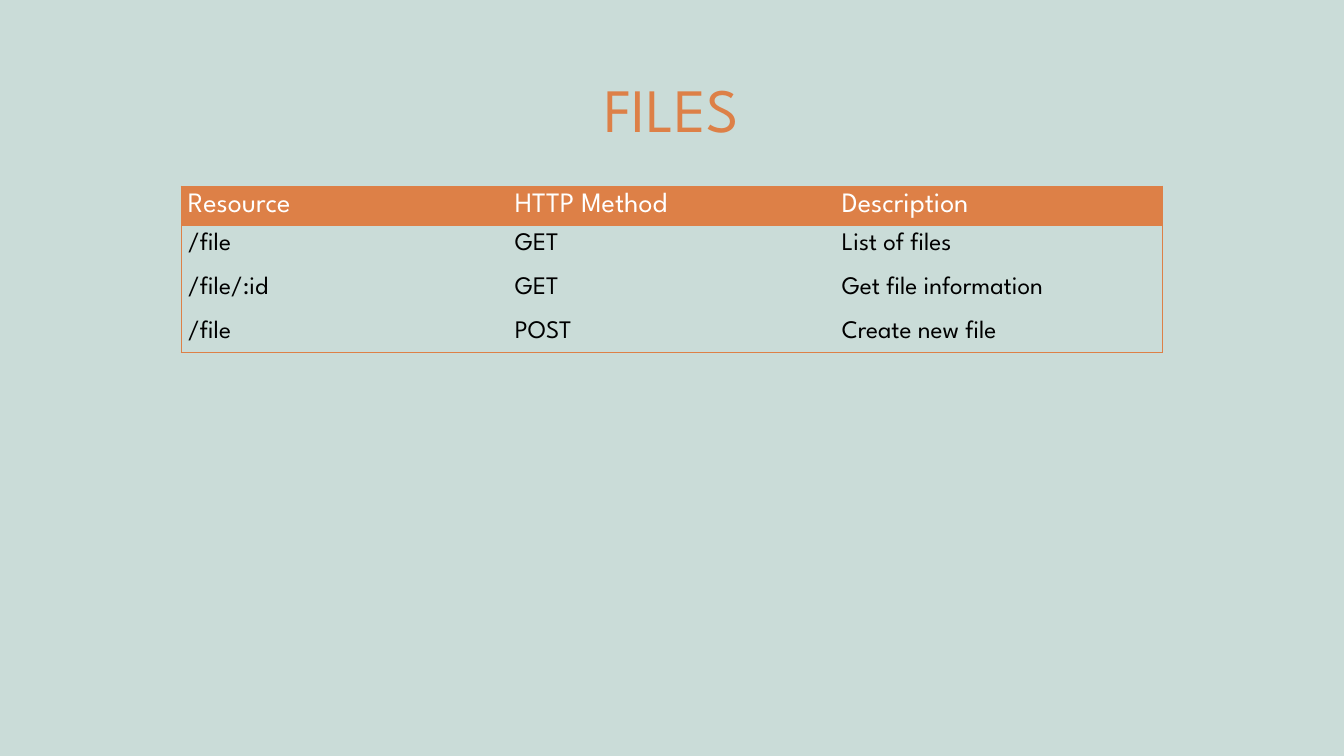
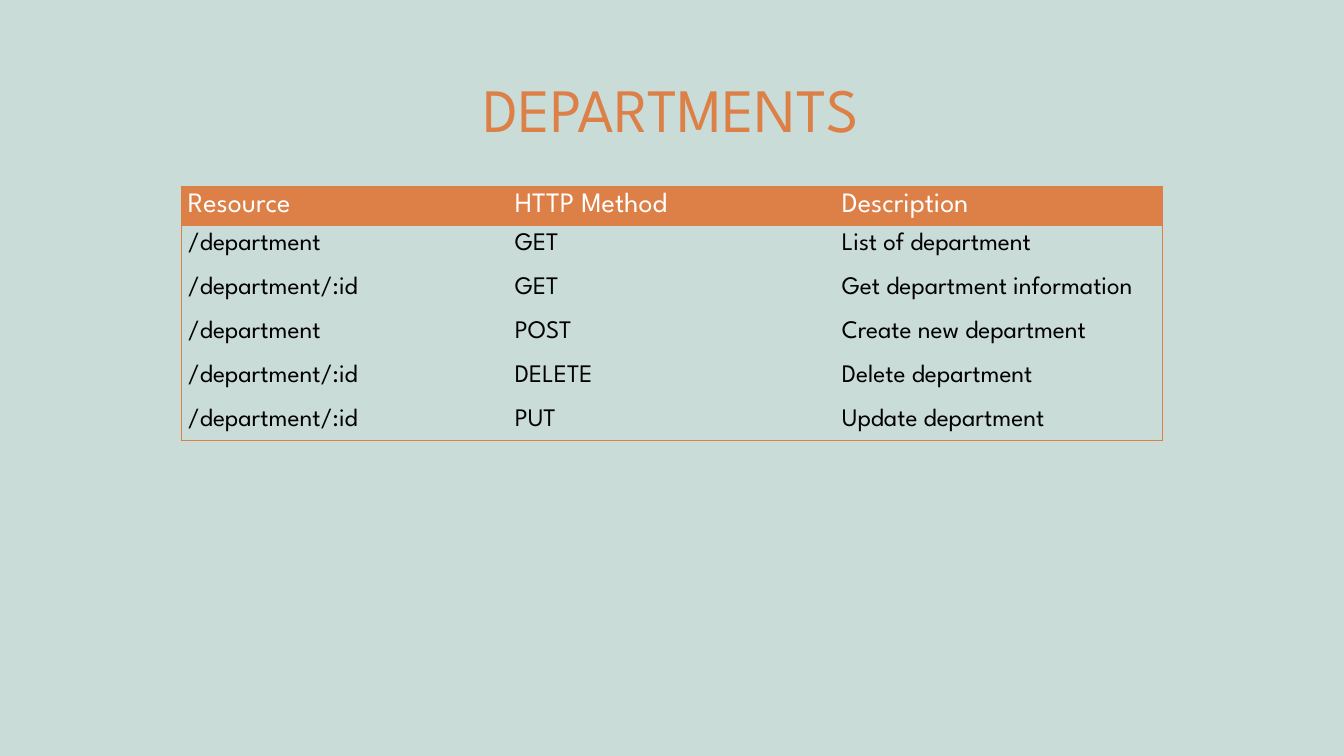
"""Build two REST endpoint slides, each with a title and a table."""
from dataclasses import dataclass

from lxml import etree
from pptx import Presentation, util as u
from pptx.dml.color import RGBColor
from pptx.enum import text
from pptx.oxml import ns


@dataclass(frozen=True)
class Theme:
    font: str = "League Spartan"
    background: str = "CADCD8"
    accent: str = "DD8047"
    header: str = "FFFFFF"
    body: str = "000000"
    title_size: int = 44
    header_size: int = 20
    body_size: int = 18
    border: float = 0.5


THEME = Theme()
SCALE = u.Inches(1) / 100.8
SLIDE_SIZE = (1344, 756)
TITLE_BOX = (92, 40, 1159, 146)
TABLE_LEFT, TABLE_TOP = 181, 186
COLUMN_WIDTH = 327
EDGE_ROW, INNER_ROW = 39, 44
INSET = 7
PLAIN_TABLE = "{2D5ABB26-0587-4C30-8999-92F81FD0307C}"
HEADINGS = ("Resource", "HTTP Method", "Description")

SLIDES = {
    "FILES": [
        ("/file", "GET", "List of files"),
        ("/file/:id", "GET", "Get file information"),
        ("/file", "POST", "Create new file"),
    ],
    "DEPARTMENTS": [
        ("/department", "GET", "List of department"),
        ("/department/:id", "GET", "Get department information"),
        ("/department", "POST", "Create new department"),
        ("/department/:id", "DELETE", "Delete department"),
        ("/department/:id", "PUT", "Update department"),
    ],
}


def px(n):
    return u.Emu(round(n * SCALE))


def add_run(p, words, size, color):
    r = p.add_run()
    r.text = words
    r.font.name = THEME.font
    r.font.size = u.Pt(size)
    r.font.color.rgb = RGBColor.from_string(color)


def set_up_layout(prs):
    prs.slide_width, prs.slide_height = map(px, SLIDE_SIZE)
    fill = prs.slide_master.background.fill
    fill.solid()
    fill.fore_color.rgb = RGBColor.from_string(THEME.background)
    layout = prs.slide_layouts.get_by_name("Title Only")
    sp = layout.placeholders[0]
    sp.left, sp.top, sp.width, sp.height = map(px, TITLE_BOX)
    return layout


def add_title(s, words):
    tf = s.shapes.title.text_frame
    tf.vertical_anchor = text.MSO_ANCHOR.MIDDLE
    p = tf.paragraphs[0]
    p.alignment = text.PP_ALIGN.CENTER
    p.line_spacing = 0.9
    add_run(p, words, THEME.title_size, THEME.accent)


def set_borders(cell, sides):
    tc_pr = cell._tc.get_or_add_tcPr()
    for i, side in enumerate(sides):
        ln = etree.Element(ns.qn(f"a:ln{side}"), w=str(u.Pt(THEME.border)))
        fill = etree.SubElement(ln, ns.qn("a:solidFill"))
        etree.SubElement(fill, ns.qn("a:srgbClr"), val=THEME.accent)
        tc_pr.insert(i, ln)


def format_cell(cell, words, is_header):
    cell.margin_left = cell.margin_right = px(INSET)
    cell.margin_top = cell.margin_bottom = px(INSET)
    p = cell.text_frame.paragraphs[0]
    if is_header:
        cell.fill.solid()
        cell.fill.fore_color.rgb = RGBColor.from_string(THEME.accent)
        add_run(p, words, THEME.header_size, THEME.header)
    else:
        cell.fill.background()
        add_run(p, words, THEME.body_size, THEME.body)


def add_endpoint_table(s, endpoints):
    rows = [HEADINGS, *endpoints]
    last_row, last_col = len(rows) - 1, len(HEADINGS) - 1
    heights = [EDGE_ROW, *[INNER_ROW] * (last_row - 1), EDGE_ROW]
    frame = s.shapes.add_table(
        len(rows), len(HEADINGS), px(TABLE_LEFT), px(TABLE_TOP),
        px(COLUMN_WIDTH * len(HEADINGS)), px(sum(heights)))
    table = frame.table
    table.horz_banding = False
    table._tbl.tblPr.find(ns.qn("a:tableStyleId")).text = PLAIN_TABLE
    for column in table.columns:
        column.width = px(COLUMN_WIDTH)
    for i, (row, height) in enumerate(zip(rows, heights)):
        table.rows[i].height = px(height)
        for j, words in enumerate(row):
            cell = table.cell(i, j)
            format_cell(cell, words, is_header=i == 0)
            outer = {"L": j == 0, "R": j == last_col,
                     "T": i == 0, "B": i == last_row}
            set_borders(cell, [side for side, on in outer.items() if on])


def main():
    prs = Presentation()
    layout = set_up_layout(prs)
    for title, endpoints in SLIDES.items():
        s = prs.slides.add_slide(layout)
        add_title(s, title)
        add_endpoint_table(s, endpoints)
    prs.save("out.pptx")


if __name__ == "__main__":
    main()
